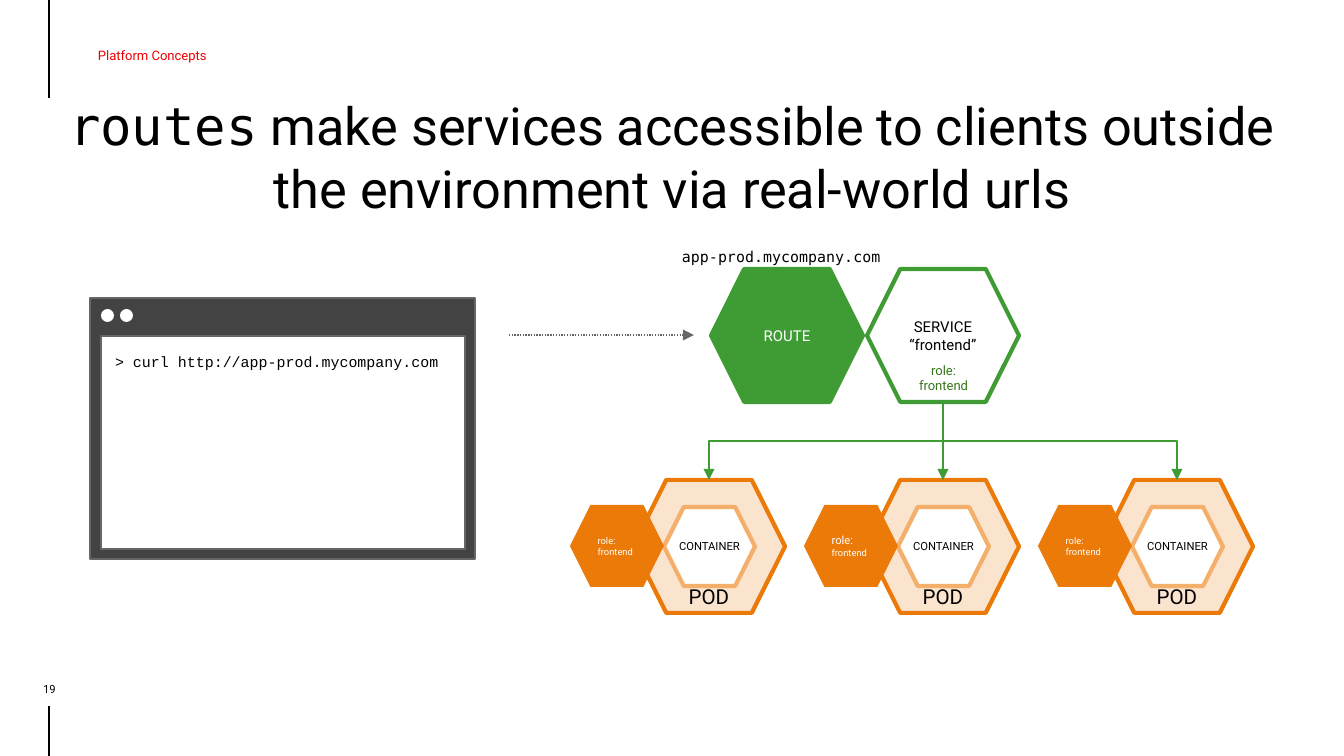
"""Build the slide on how routes expose services to outside clients."""
from pptx import Presentation
from pptx.dml.color import RGBColor
from pptx.enum.dml import MSO_LINE
from pptx.enum.shapes import MSO_CONNECTOR, MSO_SHAPE
from pptx.enum.text import MSO_ANCHOR, PP_ALIGN
from pptx.oxml.ns import qn
from pptx.util import Pt
from lxml.etree import SubElement

SCALE = 914400 / 134.4
HUES = {
    "black": "000000", "white": "FFFFFF", "red": "EE0000", "dark": "434343",
    "gray": "666666", "green": "3F9C35", "moss": "38761D",
    "orange": "EC7A08", "peach": "FBE4CE", "tan": "F4AF6B",
}
SANS, MONO, CODE = "Roboto", "DejaVu Sans Mono", "Courier New"
MID, TOP, LOW = MSO_ANCHOR.MIDDLE, MSO_ANCHOR.TOP, MSO_ANCHOR.BOTTOM
LEFT, MIDST = PP_ALIGN.LEFT, PP_ALIGN.CENTER
HEX, RECT, OVAL = MSO_SHAPE.HEXAGON, MSO_SHAPE.RECTANGLE, MSO_SHAPE.OVAL

TITLE = [[
    ("routes", 28, MONO),
    (" make services accessible to clients outside the environment"
     " via real-world urls", 28, SANS),
]]
LABELS = [
    ((50, 7, 567, 97), [[("Platform Concepts", 7, SANS)]],
     dict(hue="red", inset=(48, 9, 9, 9))),
    ((9, 680, 81, 16), [[("19", 6, SANS)]],
     dict(align=MIDST, anchor=LOW, inset=(0, 0, 0, 0))),
    ((50, 78, 1244, 156), TITLE, dict(align=MIDST)),
    ((102, 344, 384, 54),
     [[("> curl http://app-prod.mycompany.com", 8, CODE)]], dict(anchor=TOP)),
    ((669, 235, 234, 44), [[("app-prod.mycompany.com", 8, MONO)]], {}),
    ((903, 349, 81, 30), [[("role:", 7, SANS)], [("frontend", 7, SANS)]],
     dict(hue="moss", align=MIDST, anchor=TOP)),
]
WINDOW = [
    (RECT, (90, 298, 385, 261), "dark", "gray"),
    (RECT, (101, 336, 364, 213), "white", "gray"),
    (OVAL, (101, 309, 13, 13), "white", None),
    (OVAL, (120, 309, 13, 13), "white", None),
]
HEADS = [
    ((867, 269, 152, 133), "white", "black",
     [[("SERVICE", 8, SANS)], [("“frontend”", 8, SANS)]]),
    ((711, 269, 152, 133), "green", "white", [[("ROUTE", 8, SANS)]]),
]
ROLES = [5, 6, 5]
STEP, HUB, FORK, POD = 234, 943, 402, 480

deck = Presentation()
deck.slide_width, deck.slide_height = round(1344 * SCALE), round(756 * SCALE)
slide = deck.slides.add_slide(deck.slide_layouts[6])


def px(*nums):
    return [round(num * SCALE) for num in nums]


def tint(name):
    return RGBColor.from_string(HUES[name])


def put(thing, **vals):
    for key, val in vals.items():
        setattr(thing, key, val)


def say(shape, paras, hue="black", align=LEFT, anchor=MID,
        inset=(13, 13, 13, 13)):
    frame = shape.text_frame
    sides = ("margin_left", "margin_top", "margin_right", "margin_bottom")
    put(frame, word_wrap=True, vertical_anchor=anchor,
        **dict(zip(sides, px(*inset))))
    for spot, runs in enumerate(paras):
        para = frame.add_paragraph() if spot else frame.paragraphs[0]
        para.alignment = align
        for text, size, face in runs:
            run = para.add_run()
            run.text = text
            put(run.font, size=Pt(size), name=face)
            run.font.color.rgb = tint(hue)


def label(box, paras, **look):
    say(slide.shapes.add_textbox(*px(*box)), paras, **look)


def draw(kind, box, fill, edge=None, width=2.25):
    shape = slide.shapes.add_shape(kind, *px(*box))
    shape.shadow.inherit = False
    shape.fill.solid()
    shape.fill.fore_color.rgb = tint(fill)
    if edge:
        shape.line.color.rgb = tint(edge)
        shape.line.width = Pt(width)
    else:
        shape.line.fill.background()
    return shape


def link(ends, hue, kind=MSO_CONNECTOR.STRAIGHT, dash=None, head=False):
    wire = slide.shapes.add_connector(kind, *px(*ends))
    wire.line.color.rgb = tint(hue)
    put(wire.line, width=Pt(0.75), dash_style=dash)
    if head:
        SubElement(wire.line._get_or_add_ln(), qn("a:tailEnd"), type="triangle")
    SubElement(wire._element.spPr, qn("a:effectLst"))
    return wire


def elbow(x1, y1, x2, y2):
    midx, midy = (x1 + x2) / 2, (y1 + y2) / 2
    wide, tall = (y2 - y1) / 2, abs(x2 - x1) / 2
    turn, flip = (90, 1) if x2 < x1 else (270, -1)
    ends = (midx - flip * wide, midy - tall, midx + flip * wide, midy + tall)
    wire = link(ends, "green", MSO_CONNECTOR.ELBOW, head=True)
    wire._element.spPr.xfrm.set("rot", str(turn * 60000))


for top, end in ((0, 98), (706, 756)):
    link((49, top, 49, end), "black")
for kind, box, fill, edge in WINDOW:
    draw(kind, box, fill, edge, 0.75)
link((509, 335, 694, 335), "gray", dash=MSO_LINE.ROUND_DOT, head=True)
for box, fill, hue, paras in HEADS:
    say(draw(HEX, box, fill, "green"), paras, hue=hue, align=MIDST)

for spot, size in enumerate(ROLES):
    mid = HUB + (spot - 1) * STEP
    draw(HEX, (mid - 76, POD, 152, 133), "peach", "orange")
    core = draw(HEX, (mid - 45, POD + 27, 91, 79), "white", "tan")
    say(core, [[("CONTAINER", 6, SANS)]], align=MIDST, inset=(0, 0, 0, 0))
    tag = draw(HEX, (mid - 139, POD + 25, 94, 82), "orange")
    say(tag, [[("role:", size, SANS)], [("frontend", 5, SANS)]], hue="white")
    label((mid - 40, POD + 101, 80, 30), [[("POD", 11, SANS)]],
          align=MIDST, inset=(0, 0, 0, 0))
    ends = (HUB, FORK, mid, POD)
    if mid == HUB:
        link(ends, "green", head=True)
    else:
        elbow(*ends)

for box, paras, look in LABELS:
    label(box, paras, **look)

deck.save("out.pptx")
